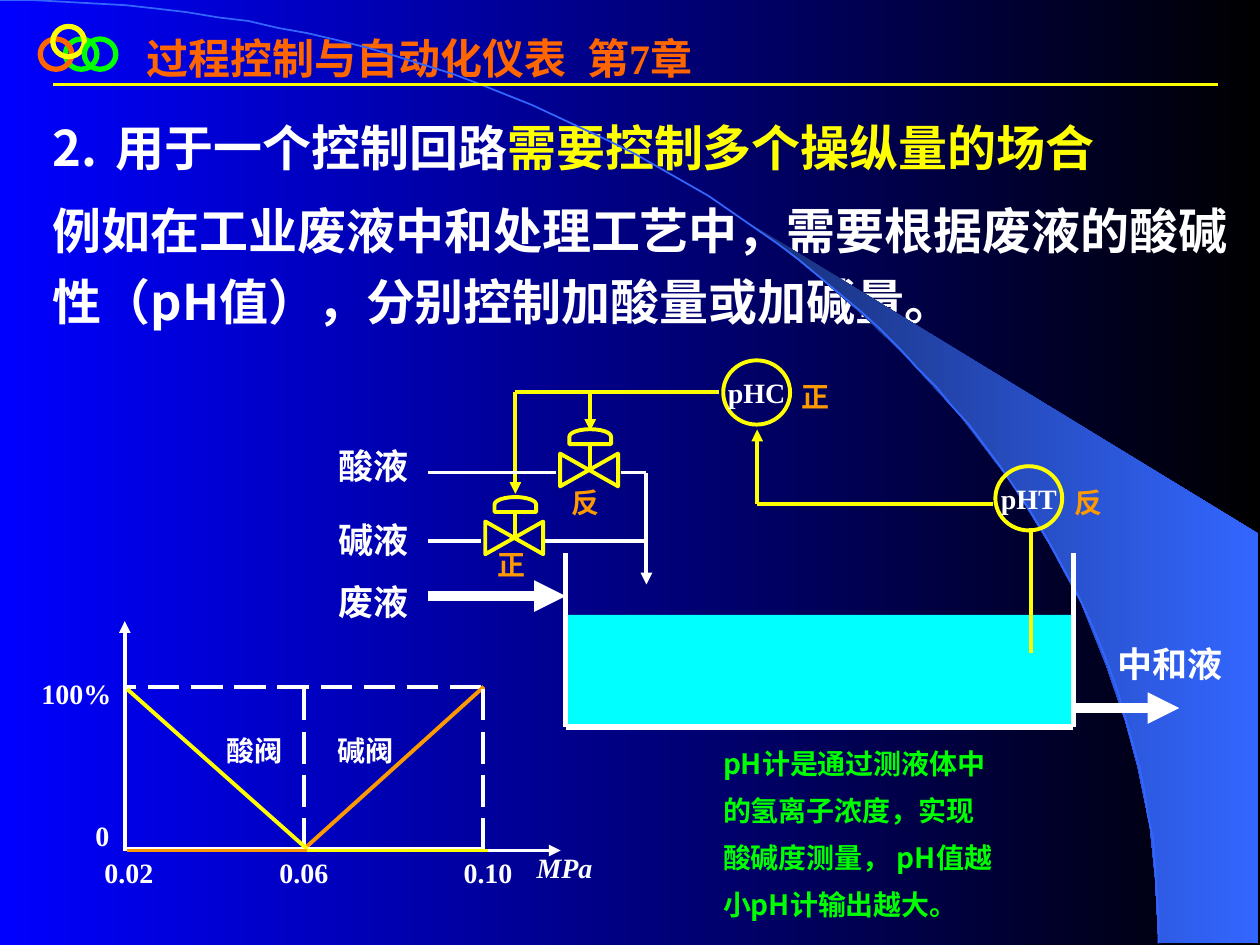
"""Builds a slide on pH control with two split-range valves."""
import lxml.etree
import pptx
import pptx.dml.color
import pptx.enum.dml
import pptx.enum.shapes
import pptx.enum.text
import pptx.oxml.ns
import pptx.util

Pt = pptx.util.Pt
Shape = pptx.enum.shapes.MSO_SHAPE
Align = pptx.enum.text.PP_ALIGN
Anchor = pptx.enum.text.MSO_ANCHOR

THEME = {
    "white": "FFFFFF", "yellow": "FFFF00", "orange": "FF9900", "green": "00FF00",
    "cyan": "00FFFF", "title": "FF6600", "blue": "3366FF", "wedge": "182F76",
    "left": "0000FF", "right": "000000",
    "serif": "Times New Roman", "sans": "Noto Sans CJK SC",
    "title_size": 24, "body_size": 28, "label_size": 20, "small_size": 16,
}

TITLE = [[("过程控制与自动化仪表\t第7章", "title")]]
BODY = [
    [("2.\t用于一个控制回路", "white"), ("需要控制多个操纵量的场合", "yellow")],
    [("例如在工业废液中和处理工艺中，需要根据废液的酸碱性（pH值），分别控制加酸量或加碱量。", "white")],
]
NOTE = ["pH计是通过测液体中", "的氢离子浓度，实现", "酸碱度测量， pH值越", "小pH计输出越大。"]

WEDGE = [(662.4, 538.6), (719.3, 539.3), (719.3, 304.6), (424, 124.6), (449.3, 143.3),
         (470.2, 159.8), (493.2, 180), (515.5, 201.6), (548.6, 237.6), (578.2, 276.5),
         (599, 310.3), (617.8, 344.9), (632.2, 380.2), (643, 411.8), (650.2, 438.5),
         (657.4, 472.3), (660.2, 501.1)]
ARC = [(0, 0), (365.8, 0), (662.4, 241.2), (662.4, 539.3)]
RINGS = [(37.4, "green"), (23, "title"), (30.2, "yellow"), (48.2, "green")]

PLOT_LABELS = [
    ("100%", 16.6, 383, 59, 18), ("0", 47.5, 464.4, 31.7, 23),
    ("0.02", 52.6, 485.3, 59, 26), ("0.06", 152.6, 485.3, 62, 22.3),
    ("0.10", 257.8, 485.3, 56.2, 22.3),
    ("酸阀", 122.4, 415.4, 51.1, 31), ("碱阀", 185.8, 415.4, 53.3, 31),
]
STREAM_LABELS = [("废液", 186.5, 323.3), ("碱液", 186.5, 288),
                 ("酸液", 186.5, 245.5), ("中和液", 631.4, 358.6)]
ACTION_LABELS = [("正", 450.7, 209.5), ("反", 319.7, 270), ("正", 277.2, 305.3), ("反", 607, 270)]
INSTRUMENTS = [("pHT", 568.8, 266.4), ("pHC", 413.3, 205.9)]
VALVES = [(294.2, 307.4), (337, 268.6)]

PLOT_LINES = [
    (71.3, 486, 71.3, 355, "white", {"arrow": True}),
    (72.7, 486, 320.4, 486, "white", {"arrow": True}),
    (173.9, 393.8, 173.9, 485.3, "white", {"dashed": True}),
    (275, 392.4, 72, 392.4, "white", {"dashed": True}),
    (276.5, 392.4, 172.8, 486, "orange", {}),
    (275.8, 393.8, 275.8, 485.3, "white", {"dashed": True}),
    (72, 485.3, 275, 485.3, "white", {}),
    (175.7, 485.3, 72.7, 393.8, "yellow", {}),
    (72.7, 486, 175.7, 486, "orange", {}),
    (175.7, 486, 278.6, 486, "yellow", {}),
]
PROCESS_LINES = [
    (323.3, 316, 323.3, 415.4, "white", {"width": 3}),
    (323.3, 415.4, 613.4, 415.4, "white", {"width": 3}),
    (613.4, 316, 613.4, 415.4, "white", {"width": 3}),
    (244.8, 340.6, 323.3, 340.6, "white", {"width": 6, "arrow": True}),
    (613.4, 404.6, 673.9, 404.6, "white", {"width": 6, "arrow": True}),
    (369.4, 270, 369.4, 334, "white", {"arrow": True}),
    (309, 309, 369.4, 309, "white", {}),
    (244.8, 309, 275, 309, "white", {}),
    (355, 270, 369.4, 270, "white", {}),
    (337.3, 224, 337.3, 246.2, "yellow", {"arrow": True}),
    (589, 301.7, 589, 373, "yellow", {}),
    (432.7, 288, 432.7, 245.5, "yellow", {"arrow": True}),
    (294.5, 224, 294.5, 282.2, "yellow", {"arrow": True}),
    (294.5, 224, 411.1, 224, "yellow", {}),
    (244.8, 270, 317.5, 270, "white", {}),
    (432.7, 288, 567.4, 288, "yellow", {}),
]


def color(name):
    return pptx.dml.color.RGBColor.from_string(THEME[name])


def add_child(parent, tag, **attributes):
    return lxml.etree.SubElement(parent, pptx.oxml.ns.qn(tag), **attributes)


def write(shape, paragraphs, size, font="serif", spacing=1.0, before=0, anchor=Anchor.TOP,
          align=Align.LEFT, wrap=True, tab=None, bold=True, italic=False, inset=(7.2, 3.6)):
    frame = shape.text_frame
    frame.auto_size = pptx.enum.text.MSO_AUTO_SIZE.NONE
    frame.word_wrap, frame.vertical_anchor = wrap, anchor
    frame.margin_left = frame.margin_right = Pt(inset[0])
    frame.margin_top = frame.margin_bottom = Pt(inset[1])
    for index, runs in enumerate(paragraphs):
        paragraph = frame.add_paragraph() if index else frame.paragraphs[0]
        properties = paragraph._p.get_or_add_pPr()
        properties.set("marL", "0")
        properties.set("indent", "0")
        add_child(properties, "a:buNone")
        if tab:
            add_child(add_child(properties, "a:tabLst"), "a:tab", pos=str(Pt(tab)), algn="l")
        paragraph.alignment, paragraph.line_spacing = align, spacing
        paragraph.space_before = Pt(before if index else 0)
        for text, ink in runs:
            run = paragraph.add_run()
            run.text = text
            run.font.size, run.font.bold, run.font.italic = Pt(THEME[size]), bold, italic
            run.font.color.rgb, run.font.name = color(ink), THEME[font]
            add_child(run._r.get_or_add_rPr(), "a:ea", typeface=THEME["sans"])


def place(shape, left, top, width, height):
    shape.left, shape.top, shape.width, shape.height = map(Pt, (left, top, width, height))


def add_label(slide, text, left, top, width, height, ink="white", size="small_size", **options):
    box = slide.shapes.add_textbox(*map(Pt, (left, top, width, height)))
    write(box, [[(text, ink)]], size, **options)


def add_outline(slide, kind, left, top, width, height, ink, weight=2.25, rotation=0):
    shape = slide.shapes.add_shape(kind, *map(Pt, (left, top, width, height)))
    shape.shadow.inherit, shape.rotation = False, rotation
    shape.fill.background()
    shape.line.color.rgb, shape.line.width = color(ink), Pt(weight)
    return shape


def add_line(slide, x1, y1, x2, y2, ink, width=2.25, arrow=False, dashed=False):
    connector = slide.shapes.add_connector(
        pptx.enum.shapes.MSO_CONNECTOR.STRAIGHT, *map(Pt, (x1, y1, x2, y2)))
    connector.line.color.rgb, connector.line.width = color(ink), Pt(width)
    if dashed:
        connector.line.dash_style = pptx.enum.dml.MSO_LINE.LONG_DASH
    if arrow:
        add_child(connector.line._get_or_add_ln(), "a:tailEnd", type="triangle")
    add_child(connector._element.spPr, "a:effectLst")


def add_freeform(slide, points, close):
    builder = slide.shapes.build_freeform(*points[0], scale=float(Pt(1)))
    builder.add_line_segments(points[1:], close=close)
    shape = builder.convert_to_shape()
    shape.shadow.inherit = False
    return shape


def fill_gradient(fill, start, end):
    fill.gradient()
    fill.gradient_angle = 0
    for stop, name in zip(fill.gradient_stops, (start, end)):
        stop.color.rgb = color(name)


def curve_points(controls, steps=60):
    weights = [((1 - t) ** 3, 3 * t * (1 - t) ** 2, 3 * t * t * (1 - t), t ** 3)
               for t in (step / steps for step in range(steps + 1))]
    return [tuple(sum(w * point[axis] for w, point in zip(row, controls)) for axis in (0, 1))
            for row in weights]


def add_backdrop(slide):
    fill_gradient(slide.background.fill, "left", "right")
    wedge = add_freeform(slide, WEDGE, True)
    fill_gradient(wedge.fill, "wedge", "blue")
    wedge.line.fill.background()
    arc = add_freeform(slide, curve_points(ARC), False)
    arc.fill.background()
    arc.line.color.rgb, arc.line.width = color("blue"), Pt(1)
    add_line(slide, 30.2, 48.2, 696.2, 48.2, "yellow", width=1.5)
    for left, ink in RINGS:
        add_outline(slide, Shape.OVAL, left, 15.1 if ink == "yellow" else 22.3, 18, 17.3, ink, 3)


def add_valve(slide, x, y):
    add_outline(slide, Shape.FLOWCHART_COLLATE, x - 9.7, y - 16.6, 18.7, 33.1, "yellow", rotation=270)
    add_line(slide, x + 0.3, y, x + 0.3, y - 14.4, "yellow")
    add_outline(slide, Shape.FLOWCHART_DELAY, x - 4, y - 31, 8.6, 23.8, "yellow", rotation=270)


def add_plot(slide):
    for *ends, ink, options in PLOT_LINES:
        add_line(slide, *ends, ink, **options)
    for label in PLOT_LABELS:
        add_label(slide, *label, wrap=False)
    add_label(slide, "MPa", 299.5, 482.4, 58.3, 26, italic=True)


def add_process(slide):
    tank = add_outline(slide, Shape.RECTANGLE, 323.3, 351.4, 290.9, 64, "cyan")
    tank.fill.solid()
    tank.fill.fore_color.rgb = color("cyan")
    tank.line.fill.background()
    for *ends, ink, options in PROCESS_LINES:
        add_line(slide, *ends, ink, **options)
    for center in VALVES:
        add_valve(slide, *center)
    for text, left, top in INSTRUMENTS:
        circle = add_outline(slide, Shape.OVAL, left, top, 38.2, 36.7, "yellow")
        write(circle, [[(text, "white")]], "small_size", anchor=Anchor.MIDDLE,
              align=Align.CENTER, wrap=False, inset=(0, 0))
    for text, left, top in STREAM_LABELS:
        add_label(slide, text, left, top, 14 + 20 * len(text), 36, size="label_size",
                  spacing=1.2, wrap=False)
    for text, left, top in ACTION_LABELS:
        add_label(slide, text, left, top, 30.2, 30.2, ink="orange", spacing=1.2, wrap=False)


def main():
    presentation = pptx.Presentation()
    presentation.slide_width, presentation.slide_height = Pt(720), Pt(540)
    slide = presentation.slides.add_slide(presentation.slide_layouts[1])
    add_backdrop(slide)
    title, body = slide.placeholders
    place(title, 76.3, 15.1, 606.2, 36)
    write(title, TITLE, "title_size", tab=257)
    place(body, 23, 36.7, 697, 175.7)
    write(body, BODY, "body_size", font="sans", spacing=1.2, before=7,
          anchor=Anchor.MIDDLE, tab=45.8)
    add_plot(slide)
    add_process(slide)
    note = slide.shapes.add_textbox(*map(Pt, (406.1, 419, 241.2, 111.6)))
    write(note, [[(line, "green")] for line in NOTE], "small_size", font="sans",
          spacing=1.2, before=4)
    presentation.save("out.pptx")


if __name__ == "__main__":
    main()
